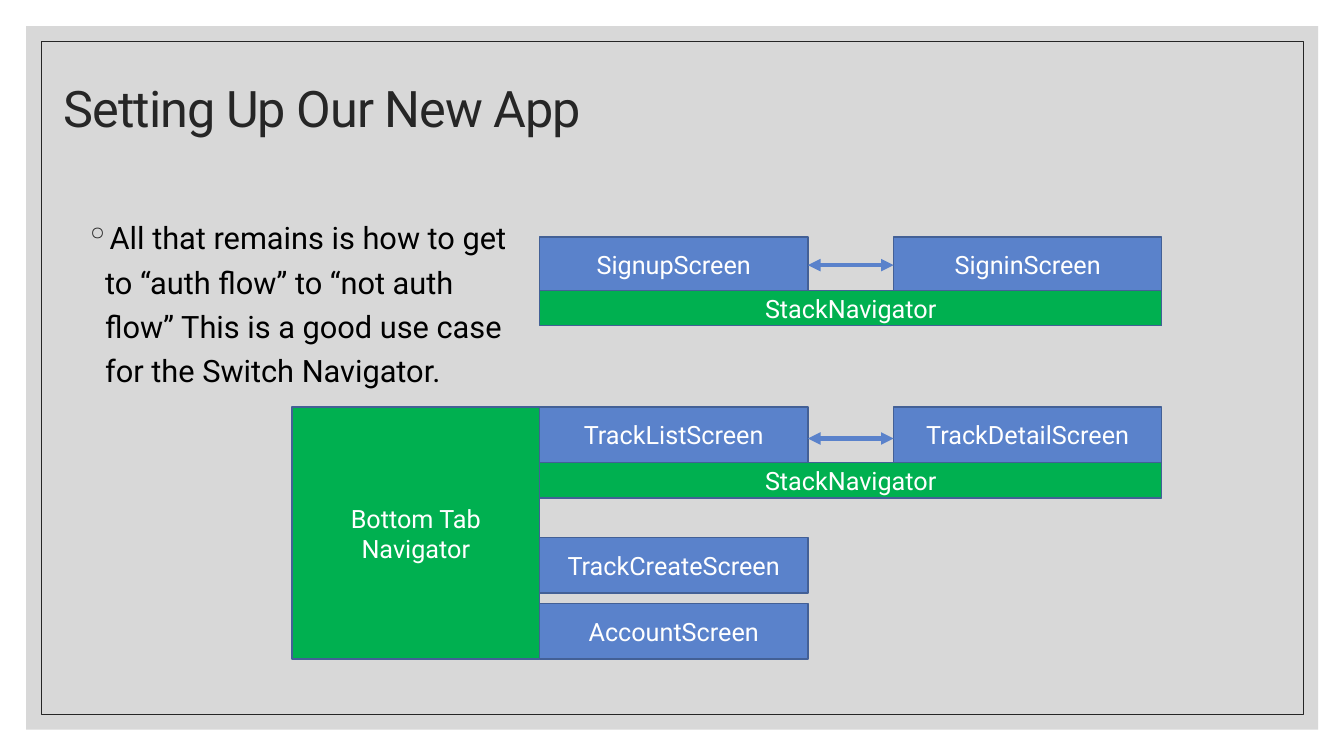
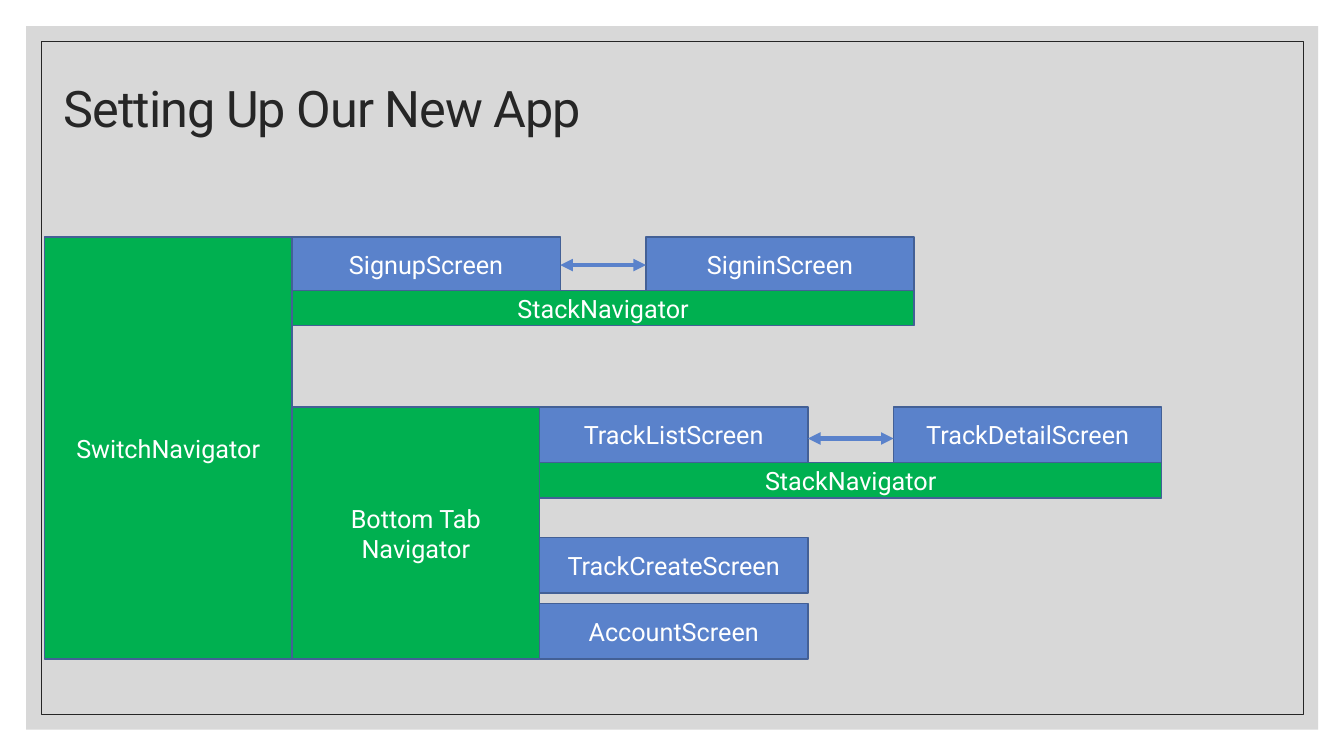
import pptx
import pptx.util
import pptx.dml.color
import pptx.enum.shapes
import pptx.enum.text
import pptx.oxml
import pptx.oxml.ns

Cm, Pt = pptx.util.Cm, pptx.util.Pt
RGB = pptx.dml.color.RGBColor.from_string
ALIGN = pptx.enum.text.PP_ALIGN
ANCHOR = pptx.enum.text.MSO_ANCHOR
RECT = pptx.enum.shapes.MSO_SHAPE.RECTANGLE
LINE = pptx.enum.shapes.MSO_CONNECTOR.STRAIGHT

# Content
TITLE = "Setting Up Our New App"
NOTE = ("All that remains is how to get to “auth flow” to “not auth flow” "
        "This is a good use case for the Switch Navigator.")
AUTH = ("SignupScreen", "SigninScreen")
TRACK = ("TrackListScreen", "TrackDetailScreen")
TABS = [("TrackCreateScreen", 13.54), ("AccountScreen", 15.21)]
STACK, TAB, SWITCH = "StackNavigator", "Bottom Tab Navigator", "SwitchNavigator"
SLIDES = [
    {"auth": 2, "note": NOTE},
    {"auth": 1, "switch": SWITCH},
]

# Style and grid, in centimetres
FONT = "Roboto"
COLORS = {"frame": "BFBFBF", "ink": "262626", "note": "000000",
          "screen": "5A82CB", "nav": "00B050", "edge": "436096",
          "label": "FFFFFF"}
LEFT, COL = 1.12, 6.24          # first column and its width
WIDE, HIGH, STEP = 6.76, 1.4, 8.92
BAR = 0.89
TOP, MID, END = 5.97, 10.26, 16.61


def add_xml(parent, tag, **attrs):
    node = pptx.oxml.parse_xml(
        f"<a:{tag} {pptx.oxml.ns.nsdecls('a')}/>")
    for name, value in attrs.items():
        node.set(name, value)
    parent.append(node)


def write(shape, text, size=18, color="label", align=ALIGN.CENTER,
          anchor=ANCHOR.MIDDLE, space=None, track=None, bullet=None):
    frame = shape.text_frame
    frame.word_wrap = True
    frame.auto_size = pptx.enum.text.MSO_AUTO_SIZE.NONE
    frame.vertical_anchor = anchor
    para = frame.paragraphs[0]
    para.alignment = align
    if space:
        para.line_spacing = space
    if bullet:
        props = para._p.get_or_add_pPr()
        props.set("marL", str(Cm(0.5)))
        props.set("indent", str(Cm(-0.5)))
        add_xml(props, "buClr")
        add_xml(props[-1], "srgbClr", val=COLORS["ink"])
        add_xml(props, "buChar", char=bullet)
    run = para.add_run()
    run.text = text
    run.font.name, run.font.size = FONT, Pt(size)
    run.font.color.rgb = RGB(COLORS[color])
    if track:
        run.font._element.set("spc", str(track))


def add_box(slide, x, y, w, h, fill=None, edge=None, line=1, text=None):
    box = slide.shapes.add_shape(RECT, Cm(x), Cm(y), Cm(w), Cm(h))
    box.shadow.inherit = False
    if fill:
        box.fill.solid()
        box.fill.fore_color.rgb = RGB(COLORS[fill])
    else:
        box.fill.background()
    if edge:
        box.line.color.rgb = RGB(COLORS[edge])
        box.line.width = Pt(line)
    else:
        box.line.fill.background()
    if text:
        write(box, text)
    return box


def add_node(slide, text, x, y, w=WIDE, h=HIGH, fill="screen"):
    add_box(slide, x, y, w, h, fill, "edge", text=text)


def add_arrow(slide, x, y, end):
    arrow = slide.shapes.add_connector(LINE, Cm(x), Cm(y), Cm(end), Cm(y))
    arrow.line.color.rgb = RGB(COLORS["screen"])
    arrow.line.width = Pt(3)
    ln = arrow.line._get_or_add_ln()
    for tag in ("headEnd", "tailEnd"):
        add_xml(ln, tag, type="triangle")
    add_xml(arrow._element.spPr, "effectLst")


def add_stack(slide, names, x, y, bar, mid):
    for i, name in enumerate(names):
        add_node(slide, name, x + i * STEP, y)
    add_arrow(slide, x + WIDE, mid, x + STEP)
    add_node(slide, STACK, x, bar, STEP + WIDE, BAR, "nav")


def set_frames(layout, slide):
    """Move the shared frames to the layout, behind its title."""
    for mark in list(layout.placeholders)[1:]:
        layout.shapes.element.remove(mark.element)
    panel = add_box(slide, 0.66, 0.66, 32.56, 17.73, "frame")
    color = panel.fill._xPr.find(".//" + pptx.oxml.ns.qn("a:srgbClr"))
    add_xml(color, "alpha", val="60000")
    rim = add_box(slide, 1.04, 1.04, 31.8, 16.97, edge="ink", line=0.5)
    for i, part in enumerate((panel, rim)):
        layout.shapes.element.insert(2 + i, part.element)


def set_title(slide):
    title = slide.shapes.title
    title.left, title.top = Cm(1.35), Cm(0.89)
    title.width, title.height = Cm(27.94), Cm(3.81)
    write(title, TITLE, size=36, color="ink", align=ALIGN.LEFT,
          space=0.9, track=-70)


def draw(slide, data):
    set_title(slide)
    cols = [LEFT + i * COL for i in range(3)]
    if "note" in data:
        note = slide.shapes.add_textbox(Cm(1.9), Cm(5.21),
                                        Cm(11.71), Cm(12.62))
        write(note, data["note"], size=22, color="note", align=ALIGN.LEFT,
              anchor=ANCHOR.TOP, space=1.2, bullet="◦")
    # Screens and their stacks
    add_stack(slide, AUTH, cols[data["auth"]], TOP, 7.32, 6.68)
    add_stack(slide, TRACK, cols[2], MID, 11.66, 11.05)
    for name, y in TABS:
        add_node(slide, name, cols[2], y)
    # Outer navigators
    add_node(slide, TAB, cols[1], MID, COL, END - MID, "nav")
    if "switch" in data:
        add_node(slide, data["switch"], cols[0], TOP, COL, END - TOP, "nav")


def main():
    deck = pptx.Presentation()
    deck.slide_width, deck.slide_height = Cm(33.87), Cm(19.05)
    layout = deck.slide_layouts[5]
    for i, data in enumerate(SLIDES):
        slide = deck.slides.add_slide(layout)
        if i == 0:
            set_frames(layout, slide)
        draw(slide, data)
    deck.save("out.pptx")


if __name__ == "__main__":
    main()
